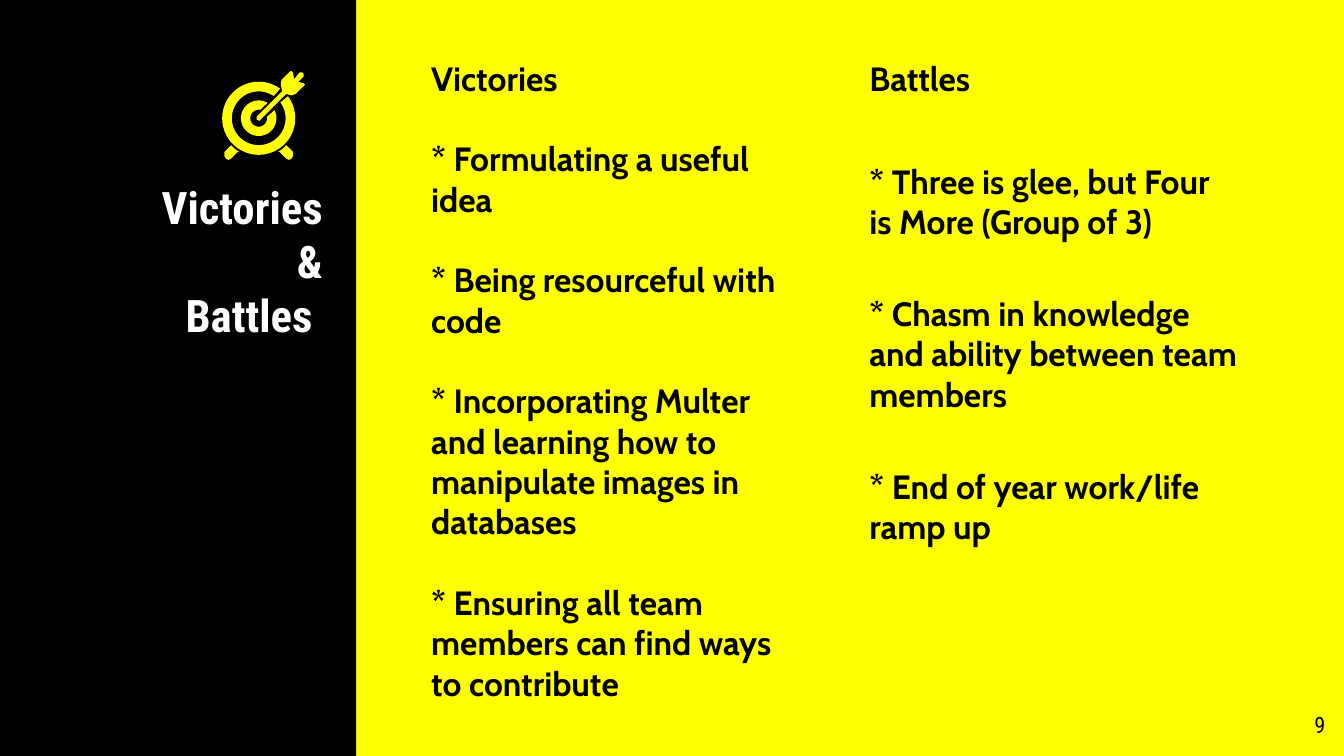
from dataclasses import dataclass
from math import cos, radians, sin

from pptx import Presentation
from pptx.dml.color import RGBColor as Rgb
from pptx.enum.shapes import MSO_SHAPE as Shape
from pptx.enum.text import MSO_ANCHOR as Anchor, PP_ALIGN as Align
from pptx.util import Inches, Pt

COLORS = {"yellow": "FFFF00", "black": "000000", "white": "FFFFFF"}
HEADING_FONT, BODY_FONT = "Roboto Condensed", "Cabin"
WIDTH = Inches(10)
HEIGHT = WIDTH * 9 // 16
CELL = WIDTH // 100

VICTORIES = [
    "Victories",
    "* Formulating a useful idea",
    "* Being resourceful with code",
    "* Incorporating Multer and learning how to manipulate images in databases",
    "* Ensuring all team members can find ways to contribute",
]
BATTLES = [
    "Battles",
    "* Three is glee, but Four is More (Group of 3)",
    "* Chasm in knowledge and ability between team members",
    "* End of year work/life ramp up",
]

ICON_WIDTH = 62
TARGET_CENTER = (27.5, 35)
FOOT = [(7, 55), (2, 60), (2, 63), (3, 65), (5, 66), (7, 65), (12, 60), (13, 60), (10, 58)]
ARROW = [
    (52, 0), (51, 0), (45, 6), (44, 8), (44, 10), (45, 15), (26, 34), (26, 36),
    (28, 37), (29, 36), (48, 17), (52, 18), (55, 17), (62, 10), (61, 9), (57, 8),
    (61, 4), (61, 2), (60, 1), (58, 1), (54, 6), (53, 1),
]


@dataclass
class Box:
    """A rectangle in grid cells, one hundredth of the slide's width each."""

    left: float
    top: float
    width: float
    height: float

    def emu(self):
        """Return left, top, width and height in slide units."""
        return [round(n * CELL) for n in (self.left, self.top, self.width, self.height)]


def paint(shape, color):
    """Give a shape a flat fill without line or shadow."""
    shape.shadow.inherit = False
    shape.fill.solid()
    shape.fill.fore_color.rgb = Rgb.from_string(COLORS[color])
    shape.line.fill.background()


def add_span(para, text, font, size, color, bold):
    """Add one formatted run to a paragraph."""
    span = para.add_run()
    span.text = text
    span.font.name, span.font.size, span.font.bold = font, Pt(size), bold
    span.font.color.rgb = Rgb.from_string(COLORS[color])


def add_text(page, box, lines, font, size, color, bold=True, align=Align.LEFT, gaps=()):
    """Place a text box with one paragraph per line and the given gaps between them."""
    frame = page.shapes.add_textbox(*box.emu()).text_frame
    frame.word_wrap = True
    frame.vertical_anchor = Anchor.TOP
    frame.margin_left = frame.margin_right = Inches(0.1)
    frame.margin_top = frame.margin_bottom = Inches(0.1)
    for index, line in enumerate(lines):
        para = frame.paragraphs[0] if index == 0 else frame.add_paragraph()
        para.alignment = align
        if index and gaps:
            para.space_before = Pt(gaps[index - 1])
        add_span(para, line, font, size, color, bold)


def ring(outer, inner, outer_gap, inner_gap):
    """Return the outline of a ring left open between two angles on each edge."""
    def arc(radius, gap):
        start, end = gap[1], gap[0] + 360
        angles = [radians(start + (end - start) * step / 60) for step in range(61)]
        return [(TARGET_CENTER[0] + radius * cos(a), TARGET_CENTER[1] + radius * sin(a))
                for a in angles]
    return arc(outer, outer_gap) + arc(inner, inner_gap)[::-1]


def add_target(page, box):
    """Draw the target with its feet and arrow inside the box."""
    left, top, width, _ = box.emu()
    scale = width / ICON_WIDTH
    outlines = [
        ring(27.2, 20, (-54, -37), (-56, -36)),
        ring(13.2, 6.3, (-60, -27), (-80, -10)),
        FOOT,
        [(2 * TARGET_CENTER[0] - x, y) for x, y in FOOT],
        ARROW,
    ]
    for outline in outlines:
        points = [(round(left + x * scale), round(top + y * scale)) for x, y in outline]
        builder = page.shapes.build_freeform(*points[0])
        builder.add_line_segments(points[1:], close=True)
        paint(builder.convert_to_shape(), "yellow")


def add_sidebar(page, box):
    """Draw the black band with its icon and title."""
    paint(page.shapes.add_shape(Shape.RECTANGLE, *box.emu()), "black")
    add_text(page, Box(box.left, box.top + 12.4, box.width - 1.5, 16.2),
             ["Victories", "&", "Battles "], HEADING_FONT, 24, "white", align=Align.RIGHT)
    add_target(page, Box(box.left + 16.5, box.top + 5.3, 6.2, 6.6))


def add_columns(page, box):
    """Place the two lists side by side in the box."""
    column, step = 29.4, box.width - 29.4
    lists = [(VICTORIES, [21.6] * 4), (BATTLES, [33.6, 27.6, 27.6])]
    for index, (lines, gaps) in enumerate(lists):
        place = Box(box.left + index * step, box.top, column, box.height)
        add_text(page, place, lines, BODY_FONT, 18, "black", gaps=gaps)


def main():
    """Build the slide and save it."""
    deck = Presentation()
    deck.slide_width, deck.slide_height = WIDTH, HEIGHT
    page = deck.slides.add_slide(deck.slide_layouts[6])
    page.background.fill.solid()
    page.background.fill.fore_color.rgb = Rgb.from_string(COLORS["yellow"])
    add_sidebar(page, Box(0, 0, 26.5, HEIGHT / CELL))
    add_columns(page, Box(31.1, 3.3, 62, 48.7))
    add_text(page, Box(93.6, 51.9, 6, 4.3), ["9"], HEADING_FONT, 12, "black",
             bold=False, align=Align.RIGHT)
    deck.save("out.pptx")


if __name__ == "__main__":
    main()
